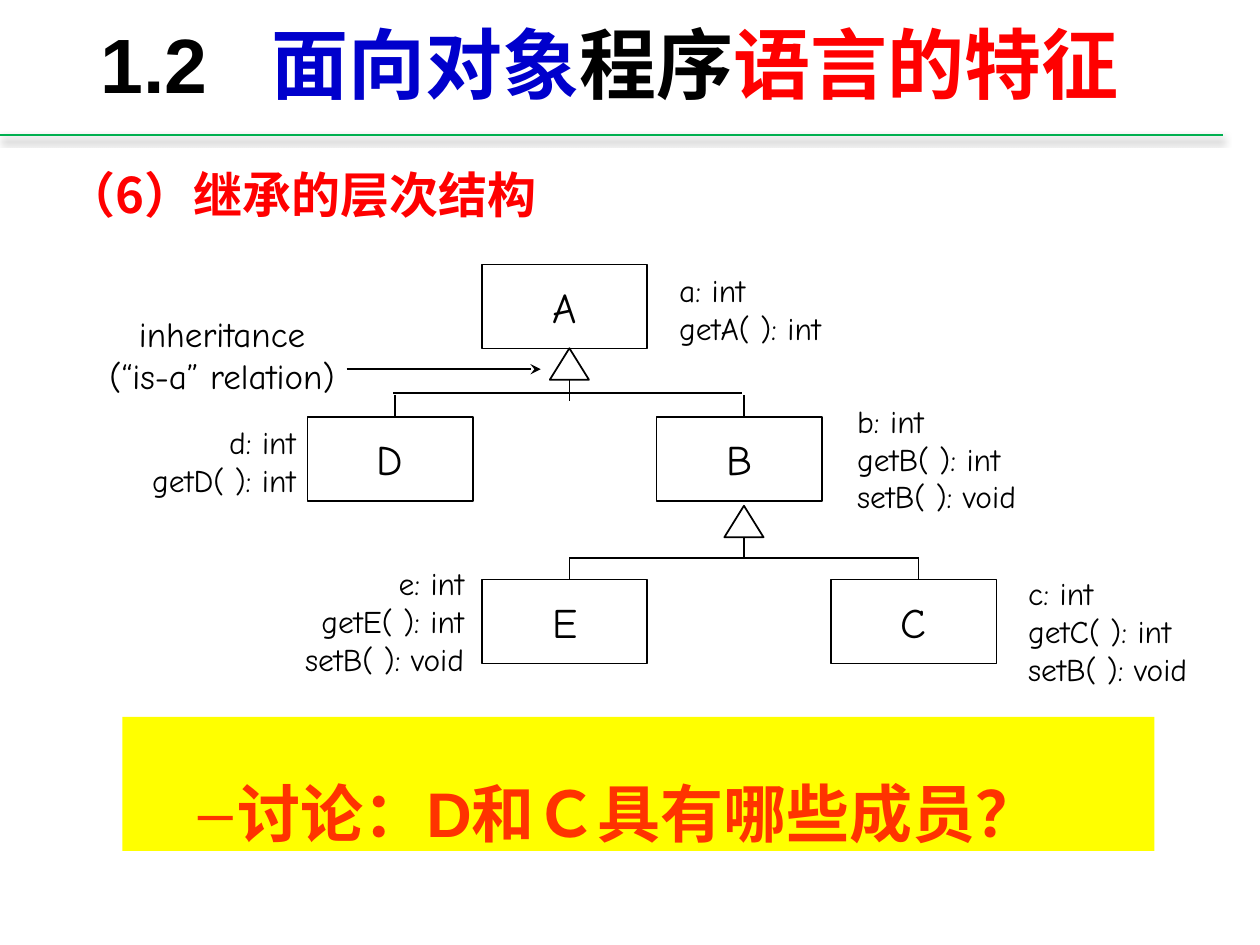
from lxml.etree import SubElement
from pptx import Presentation
from pptx.dml.color import RGBColor
from pptx.enum.shapes import MSO_CONNECTOR, MSO_SHAPE as Shape
from pptx.enum.text import MSO_ANCHOR as Anchor, PP_ALIGN as Align
from pptx.oxml.ns import qn
from pptx.util import Pt

BLACK = RGBColor(0, 0, 0)
BLUE = RGBColor(0, 0, 0xCC)
RED = RGBColor(0xFF, 0, 0)
ORANGE = RGBColor(0xFF, 0x33, 0)
YELLOW = RGBColor(0xFF, 0xFF, 0)
GREEN = RGBColor(0, 0xB0, 0x50)
CHINESE, HEADING, LABEL = "Noto Sans CJK SC", "Arial", "Comic Neue"

NODE_WIDTH, NODE_HEIGHT = 94.5, 48
COLUMN_STEP = 99.75
COLUMNS = [175.7 + COLUMN_STEP * i for i in range(4)]
ROWS = [151.2, 238.3, 331.2]
# Connection points sit slightly right of the node centres.
STEMS = [left + 49.95 for left in COLUMNS]

NODES = {"A": (1, 0), "D": (0, 1), "B": (2, 1), "E": (1, 2), "C": (3, 2)}

# Left, top, width, alignment, lines
LABELS = [
    (381, 151.2, 115, Align.LEFT, ["a: int", "getA( ): int"]),
    (482.7, 226.1, 125, Align.LEFT, ["b: int", "getB( ): int", "setB( ): void"]),
    (580.5, 324.7, 125, Align.LEFT, ["c: int", "getC( ): int", "setB( ): void"]),
    (62, 238.3, 114, Align.RIGHT, ["d: int", "getD( ): int"]),
    (150, 319, 122.3, Align.RIGHT, ["e: int", "getE( ): int", "setB( ): void"]),
]


def add_span(para, text, size=18, font=LABEL, color=BLACK, bold=False, spacing=0):
    span = para.add_run()
    span.text = text
    span.font.size = Pt(size)
    span.font.name = font
    span.font.bold = bold
    span.font.color.rgb = color
    properties = span._r.get_or_add_rPr()
    SubElement(properties, qn("a:ea")).set("typeface", CHINESE)
    if spacing:
        properties.set("spc", str(spacing * 100))
    return span


def add_label(page, left, top, width, height, lines, align=Align.LEFT, **style):
    box = page.shapes.add_textbox(Pt(left), Pt(top), Pt(width), Pt(height))
    frame = box.text_frame
    frame.word_wrap = True
    for index, line in enumerate(lines):
        para = frame.paragraphs[0] if index == 0 else frame.add_paragraph()
        para.alignment = align
        add_span(para, line, **style)


def add_outline(page, kind, left, top, width, height):
    shape = page.shapes.add_shape(kind, Pt(left), Pt(top), Pt(width), Pt(height))
    shape.shadow.inherit = False
    shape.fill.background()
    shape.line.color.rgb = BLACK
    shape.line.width = Pt(1)
    return shape


def add_node(page, name, column, row):
    node = add_outline(page, Shape.RECTANGLE, COLUMNS[column], ROWS[row],
                       NODE_WIDTH, NODE_HEIGHT)
    node.text_frame.vertical_anchor = Anchor.MIDDLE
    para = node.text_frame.paragraphs[0]
    para.alignment = Align.CENTER
    add_span(para, name, size=24)


def add_line(page, x1, y1, x2, y2, color=BLACK, width=1):
    """Draw a straight line; return it and its empty effect list."""
    line = page.shapes.add_connector(MSO_CONNECTOR.STRAIGHT,
                                     Pt(x1), Pt(y1), Pt(x2), Pt(y2))
    line.line.color.rgb = color
    line.line.width = Pt(width)
    return line, SubElement(line._element.spPr, qn("a:effectLst"))


def add_inheritance(page, stem, triangle_top, stem_end, bar, bar_y, drop_top, drop_end):
    """Draw the hollow triangle, its stem, the bar and one drop per subclass."""
    add_outline(page, Shape.ISOSCELES_TRIANGLE, stem - 11.2, triangle_top, 22.4, 18)
    add_line(page, stem, triangle_top + 18, stem, stem_end)
    add_line(page, bar[0], bar_y, bar[1], bar_y)
    for x in (stem - COLUMN_STEP, stem + COLUMN_STEP):
        add_line(page, x, drop_top, x, drop_end)


def add_header(page):
    _, effects = add_line(page, 0, 77, 699, 77, GREEN, 1.25)
    shadow = SubElement(effects, qn("a:outerShdw"), blurRad=str(Pt(4)),
                        dist=str(Pt(2.5)), dir="5400000", rotWithShape="0")
    color = SubElement(shadow, qn("a:srgbClr"), val="000000")
    SubElement(color, qn("a:alpha"), val="47000")

    box = page.shapes.add_textbox(Pt(42.5), Pt(3), Pt(612), Pt(66))
    box.text_frame.word_wrap = True
    box.text_frame.vertical_anchor = Anchor.MIDDLE
    para = box.text_frame.paragraphs[0]
    para.alignment = Align.CENTER
    style = {"size": 44, "font": HEADING, "bold": True}
    add_span(para, "1.2", **style)
    add_span(para, " ", spacing=24, **style)
    for text, color in (("面向对象", BLUE), ("程序", BLACK), ("语言的特征", RED)):
        add_span(para, text, color=color, **style)


def format_title(title):
    title.left, title.top, title.width, title.height = Pt(31), Pt(77), Pt(612), Pt(68)
    title.text_frame.vertical_anchor = Anchor.MIDDLE
    para = title.text_frame.paragraphs[0]
    para.alignment = Align.LEFT
    add_span(para, "（6）继承的层次结构", size=28, font=CHINESE, color=RED, bold=True)


def add_question(page):
    box = page.shapes.add_shape(Shape.RECTANGLE, Pt(70), Pt(409.7), Pt(589.7), Pt(76.5))
    box.shadow.inherit = False
    box.fill.solid()
    box.fill.fore_color.rgb = YELLOW
    box.line.fill.background()
    frame = box.text_frame
    frame.vertical_anchor = Anchor.BOTTOM
    frame.margin_bottom = 0
    para = frame.paragraphs[0]
    para.alignment = Align.LEFT
    para.line_spacing = 0.9
    properties = para._p.get_or_add_pPr()
    properties.set("marL", str(Pt(58.5)))
    properties.set("indent", str(Pt(-22.5)))
    SubElement(properties, qn("a:buFont"), typeface=HEADING)
    SubElement(properties, qn("a:buChar"), char="–")
    add_span(para, "讨论：D和Ｃ具有哪些成员？", size=36, font=HEADING, color=ORANGE, bold=True)


def main():
    deck = Presentation()
    deck.slide_width, deck.slide_height = Pt(720), Pt(540)
    page = deck.slides.add_slide(deck.slide_layouts[5])

    add_header(page)
    format_title(page.shapes.title)
    add_question(page)
    for name, (column, row) in NODES.items():
        add_node(page, name, column, row)
    add_inheritance(page, STEMS[1], 199, 229, (224.6, 424), 224.6, 226, ROWS[1])
    add_inheritance(page, STEMS[2], 289, 319, (STEMS[1], STEMS[3]), 319, 319, ROWS[2])
    for left, top, width, align, lines in LABELS:
        add_label(page, left, top, width, 7.2 + 21.6 * len(lines), lines, align)
    add_label(page, 48, 175, 158, 55.5, ["inheritance", "(“is-a” relation)"],
              Align.CENTER, size=20)
    arrow, _ = add_line(page, 198, 211, 309, 211)
    SubElement(arrow.line._get_or_add_ln(), qn("a:tailEnd"), type="stealth")
    deck.save("out.pptx")


if __name__ == "__main__":
    main()
